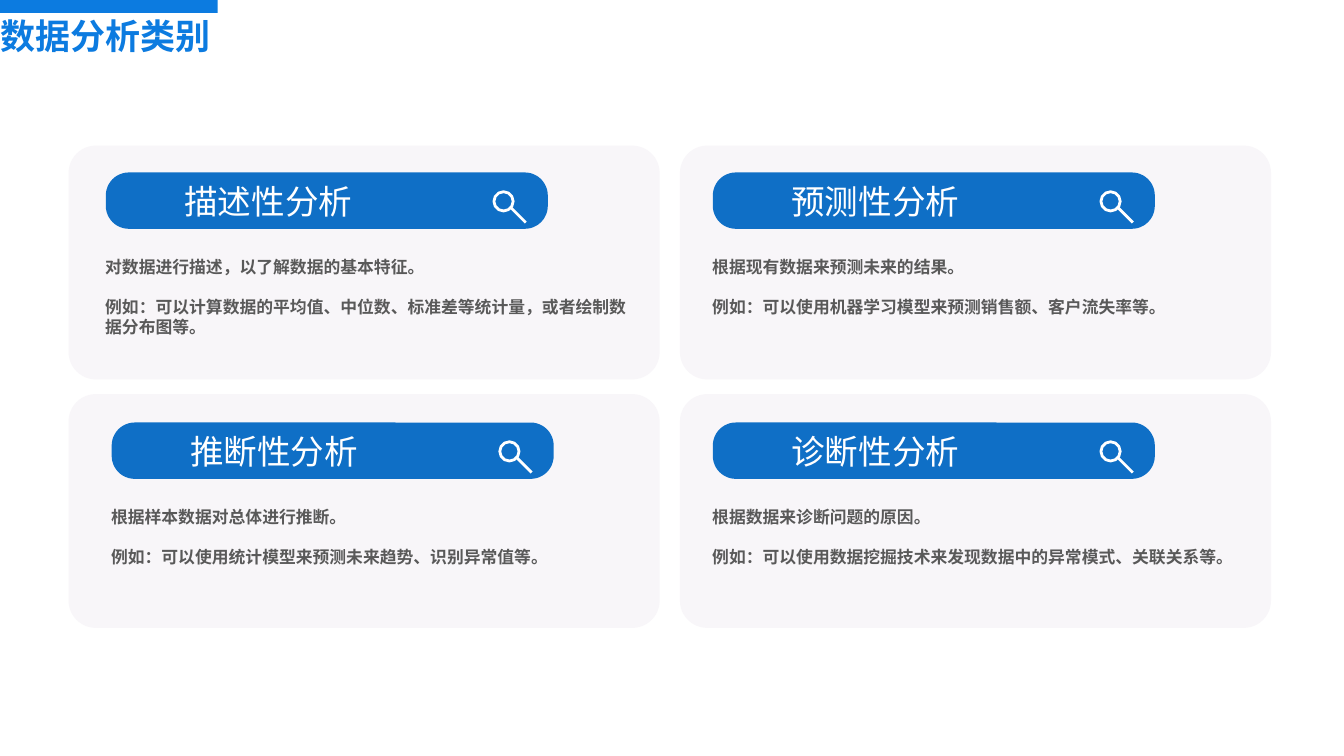
from dataclasses import dataclass

from pptx import Presentation
from pptx.dml.color import RGBColor as RGB
from pptx.enum.shapes import MSO_CONNECTOR as CONN, MSO_SHAPE as SHAPE
from pptx.oxml.ns import qn
from pptx.util import Pt
from lxml import etree


@dataclass(frozen=True)
class Theme:
    title: RGB = RGB(0x0C, 0x7B, 0xE0)
    pill: RGB = RGB(0x0F, 0x6F, 0xC6)
    card: RGB = RGB(0xF8, 0xF6, 0xF9)
    body: RGB = RGB(0x59, 0x59, 0x59)
    white: RGB = RGB(0xFF, 0xFF, 0xFF)
    font: str = "Roboto"
    title_size: int = 50
    label_size: int = 48
    body_size: int = 24
    icon_line: int = 4


T = Theme()

prs = Presentation()
prs.slide_width, prs.slide_height = Pt(1920.24), Pt(1080)
s = prs.slides.add_slide(prs.slide_layouts[6])


def add_block(kind, x, y, w, h, color, adj=None):
    sp = s.shapes.add_shape(kind, Pt(x), Pt(y), Pt(w), Pt(h))
    sp.shadow.inherit = False
    sp.fill.solid()
    sp.fill.fore_color.rgb = color
    sp.line.fill.background()
    if adj is not None:
        sp.adjustments[0] = adj
    return sp


def add_text(x, y, w, h, lines, size, color, bold=False, wrap=True, gap=0):
    tf = s.shapes.add_textbox(Pt(x), Pt(y), Pt(w), Pt(h)).text_frame
    tf.word_wrap = wrap
    for i, line in enumerate(lines):
        p = tf.add_paragraph() if i else tf.paragraphs[0]
        p.text = line
        if i:
            p.space_before = Pt(gap)
        p.font.name, p.font.size, p.font.bold = T.font, Pt(size), bold
        p.font.color.rgb = color
    return tf


# Analysis types: column, row, pill left edge, label, description, example
analyses = [
    (0, 0, 151.2, "描述性分析", "对数据进行描述，以了解数据的基本特征。",
     "例如：可以计算数据的平均值、中位数、标准差等统计量，或者绘制数据分布图等。"),
    (1, 0, 1018.5, "预测性分析", "根据现有数据来预测未来的结果。",
     "例如：可以使用机器学习模型来预测销售额、客户流失率等。"),
    (0, 1, 159.6, "推断性分析", "根据样本数据对总体进行推断。",
     "例如：可以使用统计模型来预测未来趋势、识别异常值等。"),
    (1, 1, 1018.5, "诊断性分析", "根据数据来诊断问题的原因。",
     "例如：可以使用数据挖掘技术来发现数据中的异常模式、关联关系等。"),
]

for col, row, x, label, description, example in analyses:
    # Card and heading pill
    add_block(SHAPE.ROUNDED_RECTANGLE, 98 + 873.5 * col, 208 + 355 * row,
              844.5, 334, T.card, 0.117)
    y = 246.4 + 357.2 * row
    add_block(SHAPE.ROUNDED_RECTANGLE, x, y, 631.5, 80.5, T.pill, 0.408)

    # Magnifier icon: lens and handle
    lens = add_block(SHAPE.OVAL, x + 554.5, y + 27.5, 27.5, 27.5, T.white)
    lens.fill.background()
    handle = s.shapes.add_connector(CONN.STRAIGHT, Pt(x + 577.5), Pt(y + 49),
                                    Pt(x + 600), Pt(y + 71.5))
    etree.SubElement(handle._element.spPr, qn("a:effectLst"))
    for part in (lens, handle):
        part.line.color.rgb = T.white
        part.line.width = Pt(T.icon_line)

    # Heading and description
    add_text(x + 105, y + 8.5, 258, 65.5, [label], T.label_size, T.white, wrap=False)
    add_text(x - 8, y + 116.6, 766, 94.5, [description, example],
             T.body_size, T.body, bold=True, gap=28.5)

# Slide title with accent bar
add_block(SHAPE.RECTANGLE, -1.5, -0.5, 312.5, 18.8, T.title)
tf = add_text(0.5, 20.5, 338, 116.5, ["数据分析类别"], T.title_size, T.title, bold=True)
tf.margin_left = tf.margin_right = tf.margin_top = tf.margin_bottom = 0

prs.save("out.pptx")
